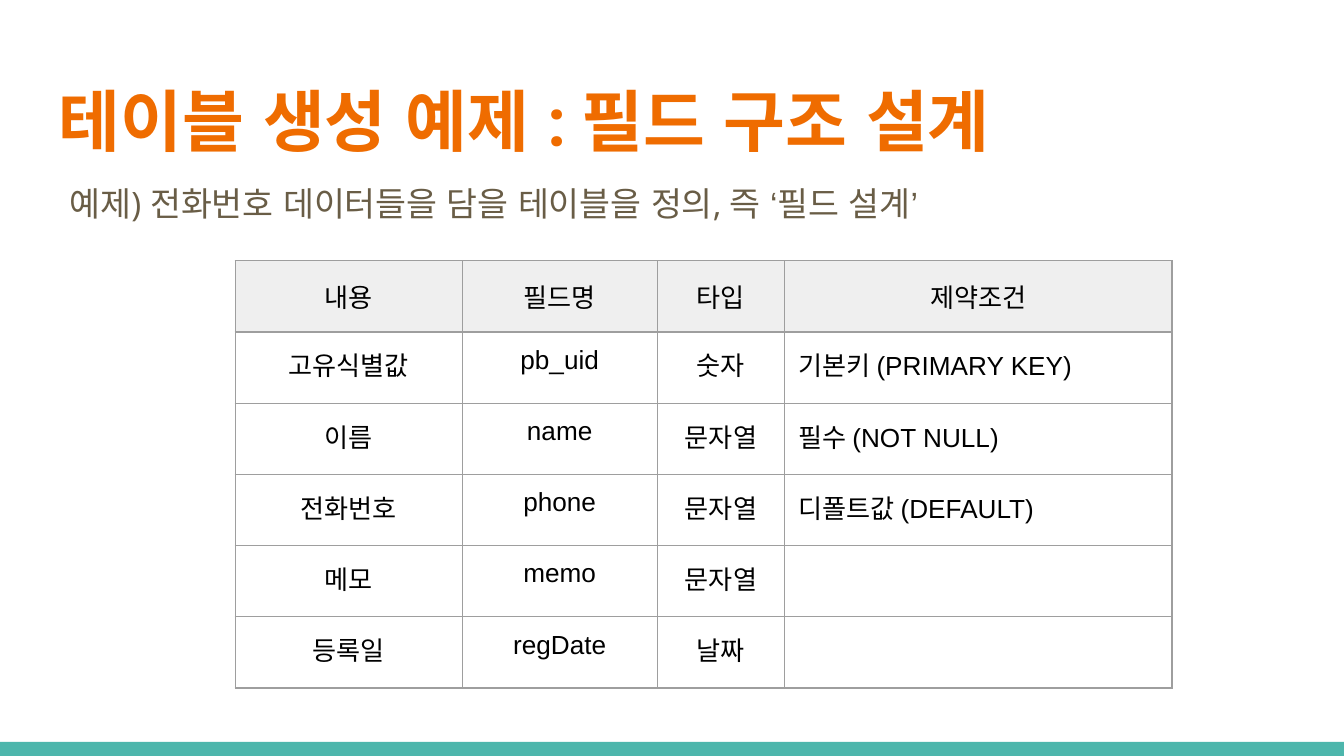
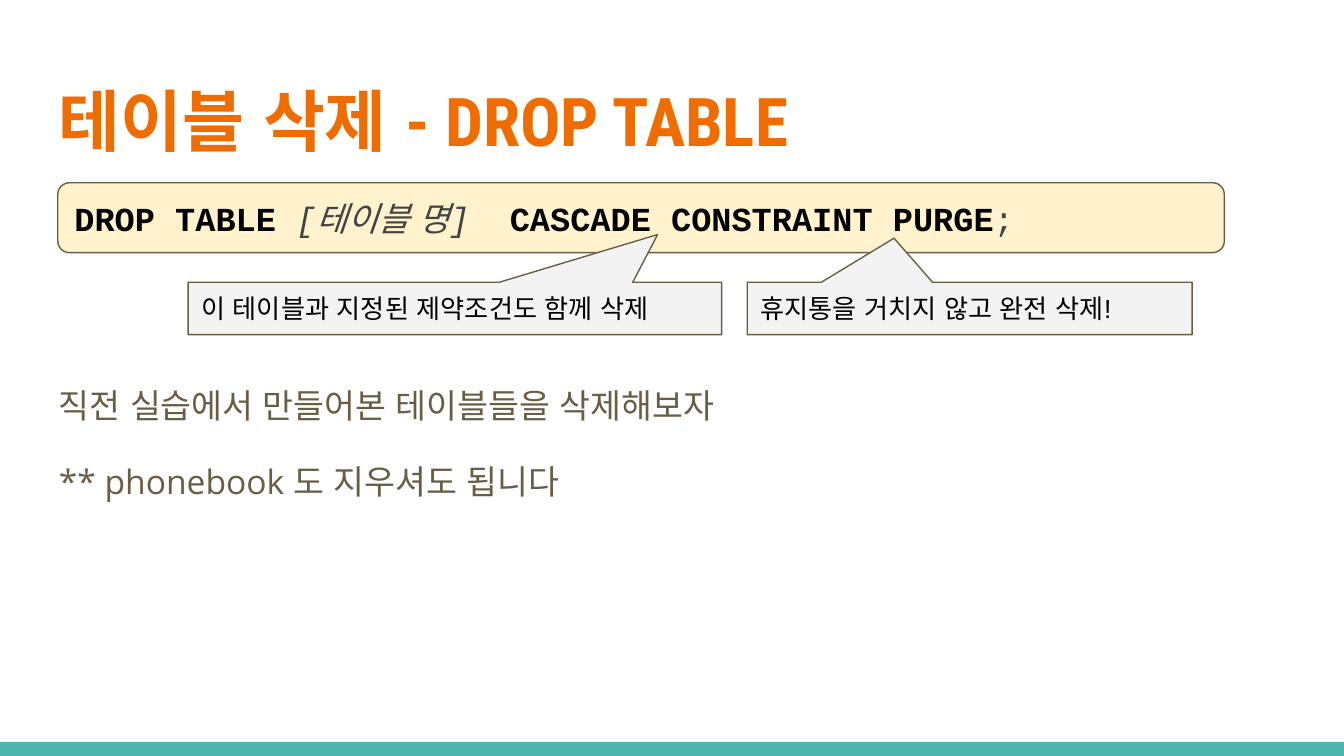
from dataclasses import dataclass

from lxml.etree import SubElement
from pptx import Presentation
from pptx.dml.color import RGBColor
from pptx.enum.shapes import MSO_SHAPE
from pptx.enum.text import MSO_ANCHOR, PP_ALIGN
from pptx.oxml.ns import qn
from pptx.util import Inches, Pt


@dataclass(frozen=True)
class Theme:
    """Colours, fonts and type sizes of the deck."""
    band: str = "4DB6AC"
    title: str = "EF6C00"
    body: str = "695D46"
    ink: str = "000000"
    muted: str = "434343"
    code_fill: str = "FFF2CC"
    note_fill: str = "F3F3F3"
    header_fill: str = "EFEFEF"
    border: str = "9E9E9E"
    title_font: str = "Roboto Condensed"
    body_font: str = "Open Sans"
    code_font: str = "Courier New"
    plain_font: str = "Arial"
    title_size: int = 36
    body_size: int = 18
    small_size: int = 14
    line: float = 0.75


class Deck:
    """Holds the style and the current slide."""

    def __init__(self, theme):
        self.theme = theme
        self.prs = Presentation()
        self.prs.slide_width = Inches(10)
        self.prs.slide_height = Inches(10) * 9 // 16

    def new_slide(self, title):
        """Start a slide with its bottom band and title."""
        t = self.theme
        self.s = self.prs.slides.add_slide(self.prs.slide_layouts[6])
        self.shape(MSO_SHAPE.RECTANGLE, (0, 5.52, 10, 0.11), t.band)
        tf = self.text_box((0.34, 0.49, 9.32, 0.77))
        p = tf.paragraphs[0]
        p.text = title
        self.style(p, t.title_font, t.title_size, t.title, bold=True)

    def style(self, p, name, size, color=None, bold=None, east_asian=True):
        """Set the font of a paragraph, with the plain font for Korean."""
        font = p.font
        font.size, font.bold, font.name = Pt(size), bold, name
        if color:
            font.color.rgb = RGBColor.from_string(color)
        if east_asian:
            SubElement(p._p.pPr.find(qn("a:defRPr")), qn("a:ea"),
                       typeface=self.theme.plain_font)

    def frame(self, tf, anchor):
        """Give a text frame wrapping, even margins and an anchor."""
        tf.word_wrap = True
        tf.vertical_anchor = anchor
        tf.margin_left = tf.margin_right = Inches(0.1)
        tf.margin_top = tf.margin_bottom = Inches(0.1)
        return tf

    def text_box(self, box):
        """Add an empty text box."""
        sp = self.s.shapes.add_textbox(*map(Inches, box))
        return self.frame(sp.text_frame, MSO_ANCHOR.TOP)

    def body(self, box, lines):
        """Add body text, with space around each later paragraph."""
        t = self.theme
        tf = self.text_box(box)
        for i, line in enumerate(lines):
            p = tf.add_paragraph() if i else tf.paragraphs[0]
            p.text = line
            p.line_spacing = 1.15
            if i:
                p.space_before = p.space_after = Pt(16)
            self.style(p, t.body_font, t.body_size, t.body)

    def shape(self, kind, box, fill, line=None, adjustments=()):
        """Add a filled preset shape."""
        sp = self.s.shapes.add_shape(kind, *map(Inches, box))
        sp.shadow.inherit = False
        sp.fill.solid()
        sp.fill.fore_color.rgb = RGBColor.from_string(fill)
        if line:
            sp.line.color.rgb = RGBColor.from_string(line)
            sp.line.width = Pt(self.theme.line)
        else:
            sp.line.fill.background()
        for i, value in enumerate(adjustments):
            sp.adjustments[i] = value
        return sp

    def code(self, box, parts):
        """Add a code panel from (text, color, bold, italic) parts."""
        t = self.theme
        sp = self.shape(MSO_SHAPE.ROUNDED_RECTANGLE, box, t.code_fill, t.body)
        p = self.frame(sp.text_frame, MSO_ANCHOR.MIDDLE).paragraphs[0]
        p.alignment = PP_ALIGN.LEFT
        self.style(p, t.code_font, t.body_size)
        for text, color, bold, italic in parts:
            r = p.add_run()
            r.text = text
            r.font.bold, r.font.italic = bold, italic
            r.font.color.rgb = RGBColor.from_string(color)

    def callout(self, box, tip, text):
        """Add a square-cornered callout pointing at tip."""
        t = self.theme
        sp = self.shape(MSO_SHAPE.ROUNDED_RECTANGULAR_CALLOUT, box,
                        t.note_fill, t.body, (*tip, 0))
        p = self.frame(sp.text_frame, MSO_ANCHOR.MIDDLE).paragraphs[0]
        p.text = text
        p.alignment = PP_ALIGN.LEFT
        self.style(p, t.plain_font, t.small_size, t.ink)

    def table(self, left, top, widths, row_height, rows):
        """Add a bordered table whose first row is a header."""
        box = (left, top, sum(widths), row_height * len(rows))
        tbl = self.s.shapes.add_table(len(rows), len(widths),
                                      *map(Inches, box)).table
        tbl.first_row = tbl.horz_banding = False
        for column, width in zip(tbl.columns, widths):
            column.width = Inches(width)
        for i, row in enumerate(rows):
            tbl.rows[i].height = Inches(row_height)
            for j, text in enumerate(row):
                left_aligned = i > 0 and j == len(widths) - 1
                self.cell(tbl.cell(i, j), text, i == 0, left_aligned)

    def cell(self, cell, text, header, left_aligned):
        """Fill in one table cell."""
        t = self.theme
        cell.margin_left = cell.margin_right = Inches(0.1)
        cell.margin_top = cell.margin_bottom = Inches(0.1)
        cell.vertical_anchor = MSO_ANCHOR.MIDDLE if header else MSO_ANCHOR.TOP
        tc_pr = cell._tc.get_or_add_tcPr()
        for side in ("lnL", "lnR", "lnT", "lnB"):
            ln = SubElement(tc_pr, qn(f"a:{side}"), w=str(Pt(t.line)))
            fill = SubElement(ln, qn("a:solidFill"))
            SubElement(fill, qn("a:srgbClr"), val=t.border)
        if header:
            cell.fill.solid()
            cell.fill.fore_color.rgb = RGBColor.from_string(t.header_fill)
        else:
            cell.fill.background()
        p = cell.text_frame.paragraphs[0]
        p.text = text
        p.alignment = PP_ALIGN.LEFT if left_aligned else PP_ALIGN.CENTER
        self.style(p, t.plain_font, t.small_size, t.ink, east_asian=False)


def field_design(deck):
    """Build the slide on designing the fields."""
    deck.new_slide("테이블 생성 예제 : 필드 구조 설계")
    deck.body((0.42, 1.22, 8.41, 0.47),
              ["예제) 전화번호 데이터들을 담을 테이블을 정의, 즉 ‘필드 설계’"])
    deck.table(1.75, 1.94, (1.69, 1.45, 0.95, 2.88), 0.53, [
        ("내용", "필드명", "타입", "제약조건"),
        ("고유식별값", "pb_uid", "숫자", "기본키 (PRIMARY KEY)"),
        ("이름", "name", "문자열", "필수 (NOT NULL)"),
        ("전화번호", "phone", "문자열", "디폴트값 (DEFAULT)"),
        ("메모", "memo", "문자열", ""),
        ("등록일", "regDate", "날짜", ""),
    ])


def drop_table(deck):
    """Build the slide on DROP TABLE."""
    t = deck.theme
    deck.new_slide("테이블 삭제 - DROP TABLE")
    deck.body((0.34, 2.72, 9.32, 1.12),
              ["직전 실습에서 만들어본 테이블들을 삭제해보자",
               "** phonebook 도 지우셔도 됩니다"])
    deck.code((0.43, 1.36, 8.68, 0.52), [
        ("DROP TABLE ", t.ink, True, False),
        ("[테이블 명] ", t.muted, False, True),
        (" CASCADE CONSTRAINT PURGE", t.ink, True, False),
        (";", t.muted, False, False),
    ])
    deck.callout((1.4, 2.1, 3.97, 0.39), (0.38, -1.41),
                 "이 테이블과 지정된 제약조건도 함께 삭제")
    deck.callout((5.56, 2.1, 3.31, 0.39), (-0.17, -1.34),
                 "휴지통을 거치지 않고 완전 삭제!")


def main():
    """Build and save the deck."""
    deck = Deck(Theme())
    field_design(deck)
    drop_table(deck)
    deck.prs.save("out.pptx")


if __name__ == "__main__":
    main()
